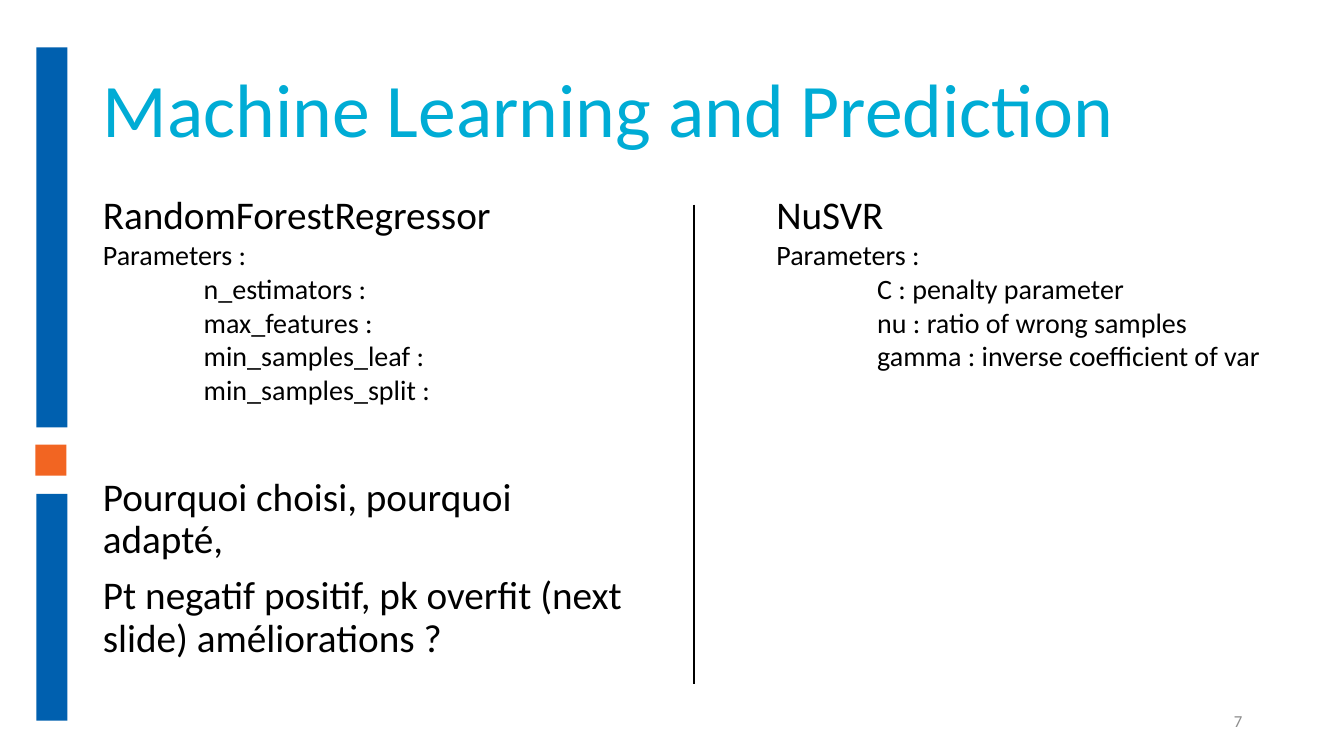
from pptx import Presentation
from pptx.dml.color import RGBColor
from pptx.enum.shapes import MSO_CONNECTOR, MSO_SHAPE
from pptx.enum.text import MSO_ANCHOR, MSO_AUTO_SIZE, PP_ALIGN
from pptx.oxml.ns import qn
from pptx.util import Inches, Pt
from lxml import etree


def rgb(value):
    return RGBColor.from_string(value)


def style(p, size, color="000000", align=PP_ALIGN.LEFT):
    p.font.name = "Calibri"
    p.font.size = Pt(size)
    p.font.color.rgb = rgb(color)
    p.alignment = align


prs = Presentation()
prs.slide_width, prs.slide_height = Inches(13.33), Inches(7.5)
s = prs.slides.add_slide(prs.slide_layouts[3])

# Side bars
for left, top, height, color in [
    (0.36, 4.9, 2.25, "0060AF"),
    (0.36, 0.47, 3.77, "0060AF"),
    (0.35, 4.41, 0.31, "F26522"),
]:
    sp = s.shapes.add_shape(MSO_SHAPE.RECTANGLE, Inches(left), Inches(top),
                            Inches(0.31), Inches(height))
    sp.fill.solid()
    sp.fill.fore_color.rgb = rgb(color)
    sp.line.fill.background()
    sp.shadow.inherit = False

# Slide number
sp = s.shapes.add_textbox(Inches(9.42), Inches(6.95), Inches(3), Inches(0.4))
tf = sp.text_frame
tf.word_wrap = True
tf.vertical_anchor = MSO_ANCHOR.MIDDLE
tf.text = "7"
style(tf.paragraphs[0], 12, "8C8C8C", PP_ALIGN.RIGHT)

# Title
title = s.shapes.title
title.left, title.top = Inches(0.92), Inches(0.4)
title.width, title.height = Inches(11.5), Inches(1.45)
tf = title.text_frame
tf.auto_size = MSO_AUTO_SIZE.NONE
tf.vertical_anchor = MSO_ANCHOR.MIDDLE
tf.text = "Machine Learning and Prediction"
style(tf.paragraphs[0], 54, "00ACD5")
tf.paragraphs[0].line_spacing = 0.9

# Model columns: text, size, left indent, space before
columns = [
    (1, 0.92, [
        ("RandomForestRegressor", 28, 0, 10),
        ("Parameters :", 20, 0, 0),
        ("n_estimators :", 20, 1, 0),
        ("max_features :", 20, 1, 0),
        ("min_samples_leaf :", 20, 1, 0),
        ("min_samples_split :", 20, 1, 0),
        ("Pourquoi choisi, pourquoi adapté,", 28, 0, 51),
        ("Pt negatif positif, pk overfit (next slide) améliorations ?", 28, 0, 10),
    ]),
    (2, 7.6, [
        ("NuSVR", 28, 0, 10),
        ("Parameters :", 20, 0, 0),
        ("C : penalty parameter", 20, 1, 0),
        ("nu : ratio of wrong samples", 20, 1, 0),
        ("gamma : inverse coefficient of var", 20, 1, 0),
    ]),
]
for idx, left, lines in columns:
    body = s.placeholders[idx]
    body.left, body.top = Inches(left), Inches(1.89)
    body.width, body.height = Inches(5.49), Inches(4.76)
    tf = body.text_frame
    tf.auto_size = MSO_AUTO_SIZE.NONE
    tf.text = "\n".join(line[0] for line in lines)
    for p, (text, size, indent, before) in zip(tf.paragraphs, lines):
        style(p, size)
        p.line_spacing = 0.9 if size == 28 else 1.0
        p.space_before = Pt(before)
        pPr = p._p.get_or_add_pPr()
        pPr.set("marL", str(Inches(indent)))
        pPr.set("indent", "0")
        bullet = etree.Element(qn("a:buNone"))
        pPr.find(qn("a:defRPr")).addprevious(bullet)

# Divider
divider = s.shapes.add_connector(MSO_CONNECTOR.STRAIGHT, Inches(6.88), Inches(2.03),
                                 Inches(6.88), Inches(6.79))
divider.line.color.rgb = rgb("000000")
divider.line.width = Pt(1.5)
etree.SubElement(divider._element.spPr, qn("a:effectLst"))

prs.save("out.pptx")
